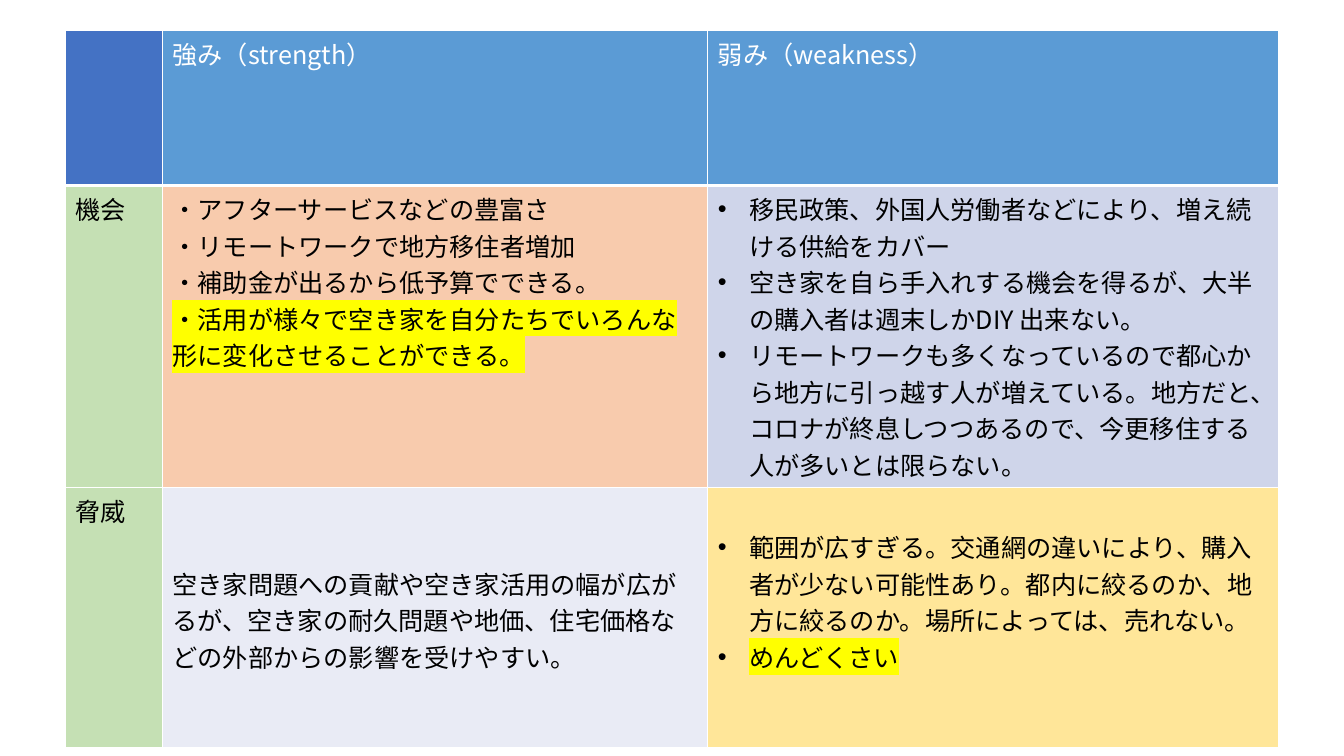
import pptx
import pptx.dml.color
import pptx.util
from dataclasses import dataclass
from lxml import etree
from pptx.oxml.ns import qn


@dataclass(frozen=True)
class Theme:
    font: str = "Noto Sans CJK JP"
    size: int = 18
    line_px: int = 36  # height of one text line
    indent_px: int = 31
    white: str = "FFFFFF"
    black: str = "000000"
    corner: str = "4472C4"
    header: str = "5B9BD5"
    label: str = "C5E0B4"
    strength_chance: str = "F8CBAD"
    weakness_chance: str = "CFD5EA"
    strength_threat: str = "E9EBF5"
    weakness_threat: str = "FFE699"
    marker: str = "FFFF00"


@dataclass
class Cell:
    fill: str
    lines: tuple = ()
    color: str = Theme.black
    bullet: bool = False
    marked_last: bool = False
    skip_lines: int = 0


def px(n):
    return pptx.util.Emu(n * 9144)


def rgb(value):
    return pptx.dml.color.RGBColor.from_string(value)


def set_all(target, values):
    for name, value in values.items():
        setattr(target, name, value)


def add_color(parent, value):
    etree.SubElement(parent, qn("a:srgbClr"), val=value)


class Deck:
    def __init__(self, theme, width, height):
        self.theme = theme
        self.prs = pptx.Presentation()
        set_all(self.prs, {"slide_width": px(width), "slide_height": px(height)})
        self.s = self.prs.slides.add_slide(self.prs.slide_layouts[6])

    def table(self, left, top, cols, rows, cells):
        frame = self.s.shapes.add_table(len(rows), len(cols), px(left), px(top),
                                        px(sum(cols)), px(sum(rows)))
        tbl = frame.table
        for col, width in zip(tbl.columns, cols):
            col.width = px(width)
        for row, height in zip(tbl.rows, rows):
            row.height = px(height)
        for i, line in enumerate(cells):
            for j, content in enumerate(line):
                self.cell(tbl.cell(i, j), content, 3 if i == 0 else 1)

    def cell(self, cell, content, bottom_pt):
        t = self.theme
        self.borders(cell, {"L": 1, "R": 1, "T": 1, "B": bottom_pt})
        cell.fill.solid()
        cell.fill.fore_color.rgb = rgb(content.fill)
        set_all(cell, {"margin_left": px(10), "margin_right": px(10),
                       "margin_top": px(5 + content.skip_lines * t.line_px),
                       "margin_bottom": px(5)})
        tf = cell.text_frame
        for i, text in enumerate(content.lines):
            p = tf.paragraphs[0] if i == 0 else tf.add_paragraph()
            if content.bullet:
                self.bullet(p)
            marked = content.marked_last and i == len(content.lines) - 1
            self.run(p, text, content.color, marked)

    def borders(self, cell, widths):
        tc_pr = cell._tc.get_or_add_tcPr()
        for side, width in widths.items():
            ln = etree.SubElement(tc_pr, qn("a:ln" + side), w=str(pptx.util.Pt(width)))
            add_color(etree.SubElement(ln, qn("a:solidFill")), self.theme.white)

    def bullet(self, p):
        indent = px(self.theme.indent_px)
        p_pr = p._p.get_or_add_pPr()
        p_pr.set("marL", str(indent))
        p_pr.set("indent", str(-indent))
        etree.SubElement(p_pr, qn("a:buFont"), typeface="Arial")
        etree.SubElement(p_pr, qn("a:buChar"), char="•")

    def run(self, p, text, color, marked):
        t = self.theme
        r = p.add_run()
        r.text = text
        r.font.color.rgb = rgb(color)
        r_pr = r._r.get_or_add_rPr()
        if marked:
            add_color(etree.SubElement(r_pr, qn("a:highlight")), t.marker)
        set_all(r.font, {"size": pptx.util.Pt(t.size), "bold": False, "name": t.font})
        etree.SubElement(r_pr, qn("a:ea"), typeface=t.font)


def main():
    t = Theme()
    deck = Deck(t, 1333, 750)
    header = [
        Cell(t.corner),
        Cell(t.header, ("強み（strength）",), t.white),
        Cell(t.header, ("弱み（weakness）",), t.white),
    ]
    chances = [
        Cell(t.label, ("機会",)),
        Cell(t.strength_chance, (
            "・アフターサービスなどの豊富さ",
            "・リモートワークで地方移住者増加",
            "・補助金が出るから低予算でできる。",
            "・活用が様々で空き家を自分たちでいろんな形に変化させることができる。",
        ), marked_last=True),
        Cell(t.weakness_chance, (
            "移民政策、外国人労働者などにより、増え続ける供給をカバー",
            "空き家を自ら手入れする機会を得るが、大半の購入者は週末しかDIY 出来ない。",
            "リモートワークも多くなっているので都心から地方に引っ越す人が増えている。"
            "地方だと、コロナが終息しつつあるので、今更移住する人が多いとは限らない。",
        ), bullet=True),
    ]
    threats = [
        Cell(t.label, ("脅威",)),
        Cell(t.strength_threat, (
            "空き家問題への貢献や空き家活用の幅が広がるが、"
            "空き家の耐久問題や地価、住宅価格などの外部からの影響を受けやすい。",
        ), skip_lines=2),
        Cell(t.weakness_threat, (
            "範囲が広すぎる。交通網の違いにより、購入者が少ない可能性あり。"
            "都内に絞るのか、地方に絞るのか。場所によっては、売れない。",
            "めんどくさい",
        ), bullet=True, marked_last=True, skip_lines=1),
    ]
    deck.table(65, 30, (96, 541, 566), (154, 278, 258), (header, chances, threats))
    deck.prs.save("out.pptx")


if __name__ == "__main__":
    main()
